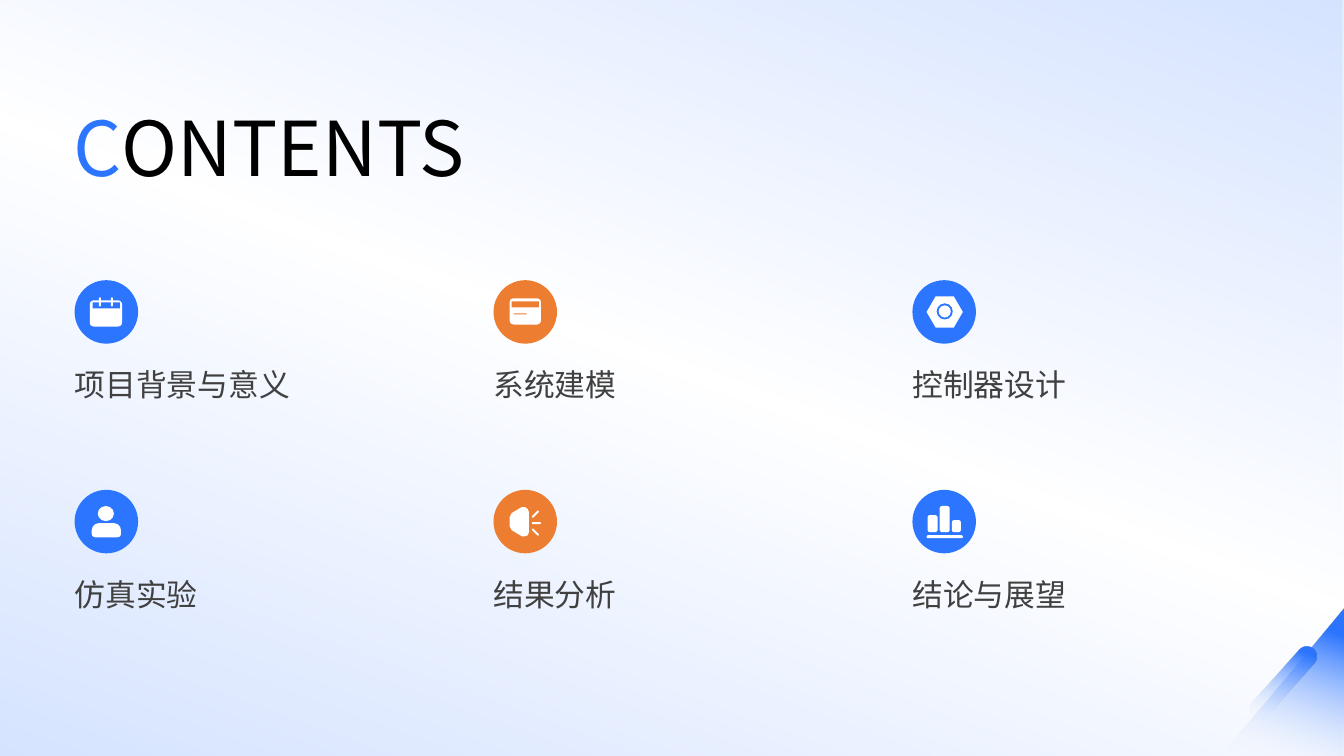
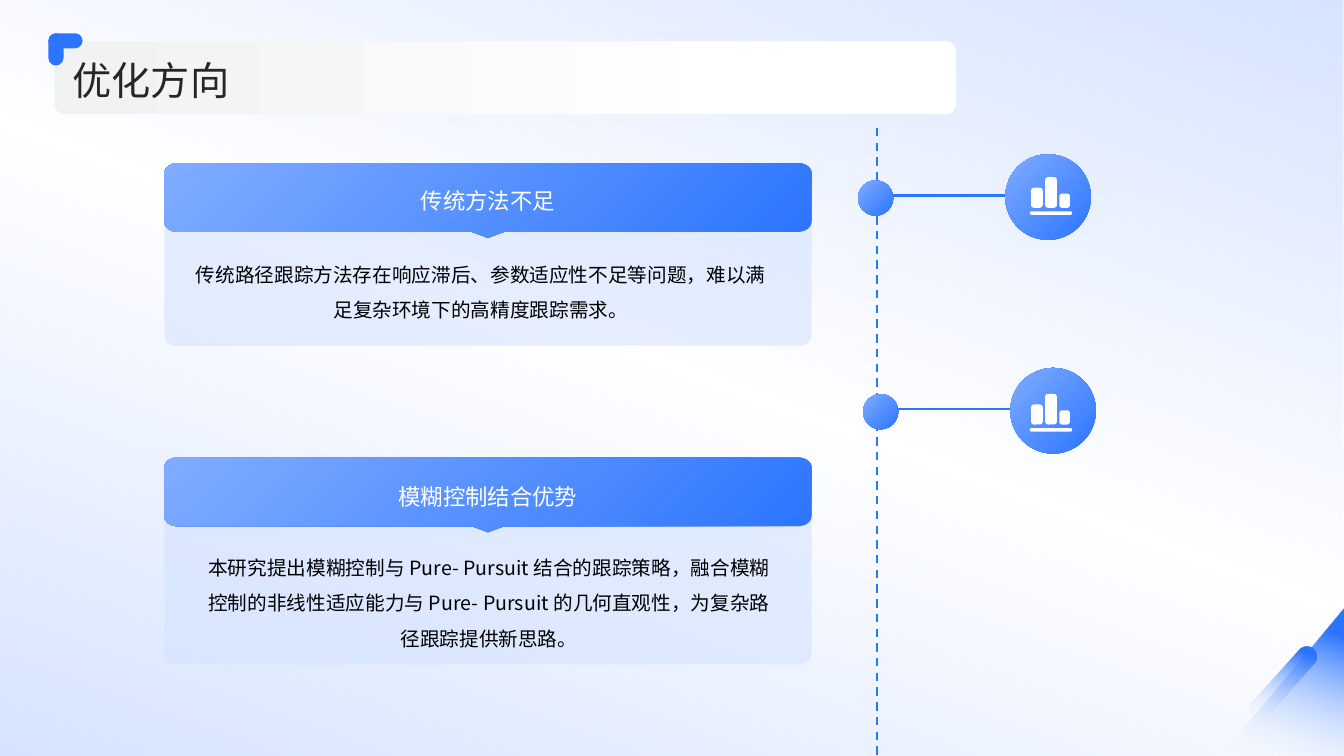
import math
import pptx
import pptx.util
import pptx.oxml
import pptx.oxml.ns
from lxml import etree
from pptx.dml.color import RGBColor
from pptx.enum.dml import MSO_LINE
from pptx.enum.shapes import MSO_CONNECTOR, MSO_SHAPE
from pptx.enum.text import MSO_ANCHOR, MSO_AUTO_SIZE, PP_ALIGN

PX = 9144
SLIDE_WIDTH, SLIDE_HEIGHT = 1333, 750
FONT = "Noto Sans CJK SC"

BLUE = RGBColor(0x2C, 0x75, 0xFF)
LIGHT_BLUE = RGBColor(0x80, 0xAC, 0xFF)
PALE_BLUE = RGBColor(0xD5, 0xE3, 0xFF)
ORANGE = RGBColor(0xED, 0x7D, 0x31)
WHITE = RGBColor(0xFF, 0xFF, 0xFF)
BLACK = RGBColor(0x00, 0x00, 0x00)
LIGHT_GRAY = RGBColor(0xF2, 0xF2, 0xF2)
DARK_GRAY = RGBColor(0x26, 0x26, 0x26)
TEXT_GRAY = RGBColor(0x40, 0x40, 0x40)

BACKDROP = ([(0, PALE_BLUE, 100), (51, WHITE, 97), (100, PALE_BLUE, 100)], 70)
CORNER_FADE = ([(0, WHITE, 0), (85, BLUE, 100)], 110)
BLUE_FADE = ([(0, BLUE, 100), (100, LIGHT_BLUE, 100)], 135)
BAR_FADE = ([(0, LIGHT_GRAY, 100), (80, WHITE, 100)], 0)

RECT = MSO_SHAPE.RECTANGLE
ROUND = MSO_SHAPE.ROUNDED_RECTANGLE
OVAL = MSO_SHAPE.OVAL

ACCENT = "accent"
ICONS = {
    "calendar": [
        (ROUND, (15, 20, 32, 26), WHITE, [0.15], 0),
        (RECT, (18, 22, 27, 6), ACCENT, [], 0),
        (ROUND, (24, 17, 2, 9), WHITE, [0.5], 0),
        (ROUND, (36, 17, 2, 9), WHITE, [0.5], 0),
    ],
    "window": [
        (ROUND, (16, 18, 31, 26), WHITE, [0.15], 0),
        (RECT, (18, 21, 27, 6), ACCENT, [], 0),
        (RECT, (20, 33, 13, 1), ACCENT, [], 0),
    ],
    "nut": [
        (MSO_SHAPE.HEXAGON, (14, 16, 36, 31), WHITE, [0.29], 0),
        (OVAL, (24, 23, 16, 16), ACCENT, [], 0),
        (OVAL, (26, 25, 12, 12), WHITE, [], 0),
    ],
    "person": [
        (OVAL, (23, 16, 16, 15), WHITE, [], 0),
        (MSO_SHAPE.ROUND_2_SAME_RECTANGLE, (17, 33, 29, 14), WHITE, [0.5, 0.25], 0),
    ],
    "speaker": [
        (ROUND, (38, 32, 9, 2), WHITE, [0.5], 0),
        (ROUND, (37, 23, 9, 2), WHITE, [0.5], -45),
        (ROUND, (37, 41, 9, 2), WHITE, [0.5], 45),
    ],
    "bars": [
        (ROUND, (14, 45, 36, 3), WHITE, [0.5], 0),
        (ROUND, (15, 25, 10, 17), WHITE, [0.25], 0),
        (ROUND, (27, 16, 10, 26), WHITE, [0.25], 0),
        (ROUND, (39, 30, 9, 12), WHITE, [0.25], 0),
    ],
}
SPEAKER_BODY = [(16, 27), (18, 23), (28, 17), (31, 17), (34, 19), (35, 22),
                (35, 42), (34, 45), (31, 46), (28, 46), (18, 40), (16, 36)]

CONTENTS = [
    ("项目背景与意义", "calendar"), ("系统建模", "window"), ("控制器设计", "nut"),
    ("仿真实验", "person"), ("结果分析", "speaker"), ("结论与展望", "bars"),
]
COLUMN_COLORS = [BLUE, ORANGE, BLUE]
GRID_LEFT, GRID_TOP, COLUMN_STEP, ROW_STEP = 74, 278, 415.5, 208

CARD_LEFT, CARD_WIDTH = 163, 642
CARDS = [
    {"top": 162, "height": 181, "heading": "传统方法不足", "heading_box": (201, 162, 566, 65),
     "body": "传统路径跟踪方法存在响应滞后、参数适应性不足等问题，难以满足复杂环境下的高精度跟踪需求。",
     "body_box": (194, 249, 566, 71)},
    {"top": 454, "height": 205, "heading": "模糊控制结合优势", "heading_box": (201, 460, 566, 58),
     "body": "本研究提出模糊控制与 Pure- Pursuit 结合的跟踪策略，融合模糊控制的非线性适应能力与 "
             "Pure- Pursuit 的几何直观性，为复杂路径跟踪提供新思路。",
     "body_box": (202, 540, 566, 70)},
]
TIMELINE_NODES = [
    {"left": 851, "top": 179, "icon": (1005, 157)},
    {"left": 856, "top": 391, "icon": (1005, 372)},
]


def emu(length):
    return round(length * PX)


def box_emu(box):
    return [emu(length) for length in box]


def set_alpha(color_element, percent):
    if percent < 100:
        alpha = etree.SubElement(color_element, pptx.oxml.ns.qn("a:alpha"))
        alpha.set("val", str(percent * 1000))


def paint(shape, fill, alpha=100):
    shape.shadow.inherit = False
    shape.line.fill.background()
    properties = shape._element.spPr
    if isinstance(fill, RGBColor):
        shape.fill.solid()
        shape.fill.fore_color.rgb = fill
        set_alpha(next(properties.iter(pptx.oxml.ns.qn("a:srgbClr"))), alpha)
        return
    stops, angle = fill
    shape.fill.gradient()
    shape.fill.gradient_angle = angle
    stop_list = next(properties.iter(pptx.oxml.ns.qn("a:gsLst")))
    for old_stop in list(stop_list):
        stop_list.remove(old_stop)
    for position, color, opacity in stops:
        stop = etree.SubElement(stop_list, pptx.oxml.ns.qn("a:gs"))
        stop.set("pos", str(position * 1000))
        color_element = etree.SubElement(stop, pptx.oxml.ns.qn("a:srgbClr"))
        color_element.set("val", str(color))
        set_alpha(color_element, opacity)


def add_preset(slide, preset, box, fill, adjustments=(), rotation=0, alpha=100):
    shape = slide.shapes.add_shape(preset, *box_emu(box))
    for index, value in enumerate(adjustments):
        shape.adjustments[index] = value
    shape.rotation = rotation
    paint(shape, fill, alpha)
    return shape


def add_polygon(slide, points, fill):
    corners = [(emu(x), emu(y)) for x, y in points]
    builder = slide.shapes.build_freeform(*corners[0], scale=1.0)
    builder.add_line_segments(corners[1:], close=True)
    paint(builder.convert_to_shape(), fill)


def add_line(slide, start, end, dash=None):
    line = slide.shapes.add_connector(MSO_CONNECTOR.STRAIGHT, *box_emu(start + end))
    line.line.color.rgb = BLUE
    line.line.width = pptx.util.Pt(1.5)
    if dash:
        line.line.dash_style = dash
    etree.SubElement(line._element.spPr, pptx.oxml.ns.qn("a:effectLst"))


def write_text(shape, runs, size, spacing, alignment=PP_ALIGN.LEFT, anchor=MSO_ANCHOR.TOP):
    frame_format = {"word_wrap": True, "auto_size": MSO_AUTO_SIZE.NONE, "vertical_anchor": anchor,
                    "margin_left": 0, "margin_top": 0, "margin_right": 0, "margin_bottom": 0}
    for name, value in frame_format.items():
        setattr(shape.text_frame, name, value)
    paragraph = shape.text_frame.paragraphs[0]
    for name, value in {"alignment": alignment, "line_spacing": spacing}.items():
        setattr(paragraph, name, value)
    for text, color in runs:
        run = paragraph.add_run()
        run.text = text
        for name, value in {"size": pptx.util.Pt(size), "name": FONT, "bold": False}.items():
            setattr(run.font, name, value)
        run.font.color.rgb = color
        east_asian = etree.SubElement(run._r.get_or_add_rPr(), pptx.oxml.ns.qn("a:ea"))
        east_asian.set("typeface", FONT)


def add_text(slide, box, text, color, size, spacing, **layout):
    write_text(slide.shapes.add_textbox(*box_emu(box)), [(text, color)], size, spacing, **layout)


def set_title(slide, box, runs, size, spacing, anchor):
    title = slide.shapes.title
    for name, value in zip(("left", "top", "width", "height"), box_emu(box)):
        setattr(title, name, value)
    write_text(title, runs, size, spacing, anchor=anchor)
    slide.shapes._spTree.append(title._element)


def add_icon(slide, name, left, top, accent, scale=1):
    for preset, (x, y, width, height), fill, adjustments, rotation in ICONS[name]:
        box = (left + x * scale, top + y * scale, width * scale, height * scale)
        add_preset(slide, preset, box, accent if fill == ACCENT else fill, adjustments, rotation)
    if name == "speaker":
        add_polygon(slide, [(left + x * scale, top + y * scale) for x, y in SPEAKER_BODY], WHITE)


def add_base_slide(presentation):
    slide = presentation.slides.add_slide(presentation.slide_layouts[5])
    add_preset(slide, RECT, (0, 0, SLIDE_WIDTH, SLIDE_HEIGHT), BACKDROP)
    triangle = add_preset(slide, MSO_SHAPE.RIGHT_TRIANGLE, (1212, 603, 121, 147), CORNER_FADE)
    triangle._element.spPr.xfrm.set("flipH", "1")
    add_preset(slide, ROUND, (1263, 633, 20, 88), CORNER_FADE, [0.5], 41.8)
    return slide


def header_outline(left, top, width, height):
    radius_x, radius_y = 13, 10
    right, bottom, middle = left + width, top + height, left + width / 2
    corners = [(right - radius_x, top + radius_y, -90), (right - radius_x, bottom - radius_y, 0),
               (left + radius_x, bottom - radius_y, 90), (left + radius_x, top + radius_y, 180)]
    points = []
    for center_x, center_y, start in corners:
        if start == 90:
            points += [(middle + 16, bottom), (middle, bottom + 6), (middle - 16, bottom)]
        for step in range(0, 91, 10):
            angle = math.radians(start + step)
            points.append((center_x + radius_x * math.cos(angle),
                           center_y + radius_y * math.sin(angle)))
    return points


def build_contents(presentation):
    slide = add_base_slide(presentation)
    for index, (label, icon) in enumerate(CONTENTS):
        row, column = divmod(index, len(COLUMN_COLORS))
        left, top = GRID_LEFT + column * COLUMN_STEP, GRID_TOP + row * ROW_STEP
        accent = COLUMN_COLORS[column]
        add_preset(slide, OVAL, (left, top, 63, 63), accent)
        add_icon(slide, icon, left, top, accent)
        add_text(slide, (left, top + 74, 354, 110), label, TEXT_GRAY, 22, 1.3)
    set_title(slide, (73, 110, 526, 78), [("C", BLUE), ("ONTENTS", BLACK)], 54, 0.9, MSO_ANCHOR.TOP)


def build_directions(presentation):
    slide = add_base_slide(presentation)
    add_line(slide, (870, 127), (870, SLIDE_HEIGHT), MSO_LINE.DASH)
    for card in CARDS:
        top = card["top"]
        add_preset(slide, ROUND, (CARD_LEFT, top, CARD_WIDTH, card["height"]), PALE_BLUE, [0.06], alpha=60)
        add_polygon(slide, header_outline(CARD_LEFT, top, CARD_WIDTH, 68), BLUE_FADE)
        add_text(slide, card["heading_box"], card["heading"], WHITE, 16, 1.3,
                 alignment=PP_ALIGN.CENTER, anchor=MSO_ANCHOR.MIDDLE)
        add_text(slide, card["body_box"], card["body"], BLACK, 14, 1.5, alignment=PP_ALIGN.CENTER)
    for node in TIMELINE_NODES:
        left, top = node["left"], node["top"]
        add_line(slide, (left + 19, top + 15), (left + 191, top + 15))
        add_preset(slide, OVAL, (left, top, 35, 35), BLUE_FADE)
        add_preset(slide, OVAL, (left + 146, top - 26, 85, 85), BLUE_FADE)
        add_icon(slide, "bars", *node["icon"], BLUE, 1.17)
    add_preset(slide, ROUND, (54, 41, 894, 72), BAR_FADE, [0.14])
    for width, height in ((34, 15), (15, 32)):
        add_preset(slide, ROUND, (48, 33, width, height), BLUE, [0.5])
    set_title(slide, (72, 51, 1167, 51), [("优化方向", DARK_GRAY)], 28, 1.1, MSO_ANCHOR.MIDDLE)


def main():
    presentation = pptx.Presentation()
    presentation.slide_width = emu(SLIDE_WIDTH)
    presentation.slide_height = emu(SLIDE_HEIGHT)
    build_contents(presentation)
    build_directions(presentation)
    presentation.save("out.pptx")


if __name__ == "__main__":
    main()
